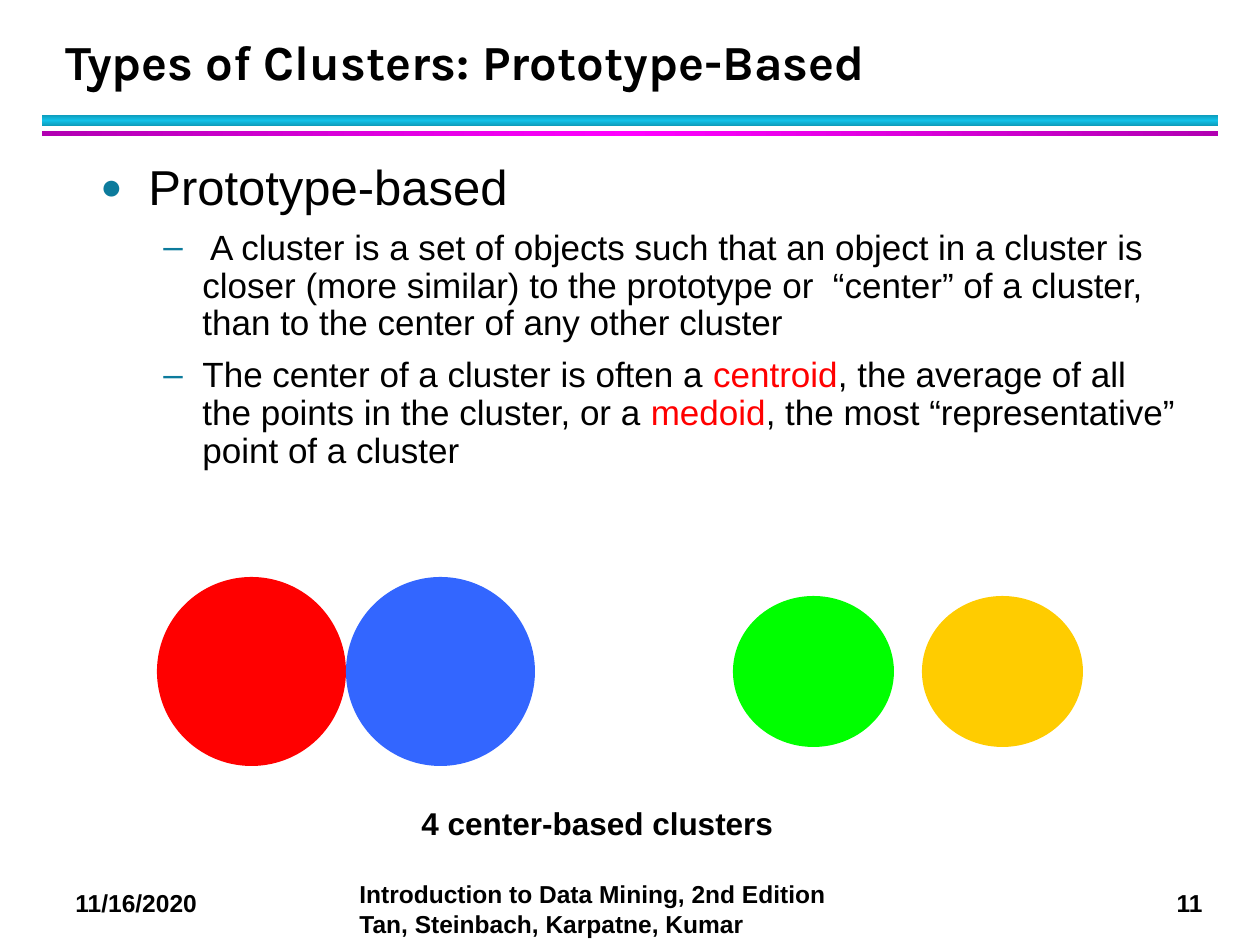
from copy import deepcopy

from lxml.etree import SubElement
from pptx import Presentation
from pptx.dml.color import RGBColor
from pptx.enum.shapes import MSO_SHAPE as Shape
from pptx.enum.text import MSO_ANCHOR as Anchor, PP_ALIGN as Align
from pptx.oxml.ns import qn
from pptx.util import Emu, Pt

PX = 914400 / 126
BLACK = RGBColor(0x00, 0x00, 0x00)
RED = RGBColor(0xFF, 0x00, 0x00)
BLUE = RGBColor(0x33, 0x66, 0xFF)
GREEN = RGBColor(0x00, 0xFF, 0x00)
GOLD = RGBColor(0xFF, 0xCC, 0x00)
BULLET = RGBColor(0x0C, 0x7B, 0x9C)
CYAN, CYAN_DARK = RGBColor(0x12, 0xC2, 0xE9), RGBColor(0x0E, 0x9B, 0xBA)
MAGENTA, MAGENTA_DARK = RGBColor(0xFF, 0x00, 0xFF), RGBColor(0xB2, 0x00, 0xB2)


def px(length):
    return Emu(round(length * PX))


def set_font(para, size, bold=False, name="Arial"):
    para.font.name = name
    para.font.size = Pt(size)
    para.font.bold = bold
    para.font.color.rgb = BLACK


def add_frame(page, box):
    frame = page.shapes.add_textbox(*map(px, box)).text_frame
    frame.word_wrap = True
    return frame


def add_label(page, box, text, size=14, align=Align.LEFT):
    para = add_frame(page, box).paragraphs[0]
    para.text = text
    para.alignment = align
    set_font(para, size, bold=True)


def add_plain_shape(page, kind, box):
    shape = page.shapes.add_shape(kind, *map(px, box))
    shape.shadow.inherit = False
    shape.line.fill.background()
    return shape


def add_gradient_bar(page, box, edge, middle, angle):
    """A bar that shades from edge to middle and back to edge."""
    bar = add_plain_shape(page, Shape.RECTANGLE, box)
    bar.fill.gradient()
    bar.fill.gradient_angle = angle
    stops = bar._element.spPr.find(qn("a:gradFill")).find(qn("a:gsLst"))
    stops.append(deepcopy(stops[-1]))
    for stop, position, color in zip(bar.fill.gradient_stops, (0, 0.5, 1), (edge, middle, edge)):
        stop.position = position
        stop.color.rgb = color


def add_header(page, box):
    left, top, width, height = box
    frame = add_frame(page, (left + 11, top, width - 34, 76))
    frame.vertical_anchor = Anchor.BOTTOM
    para = frame.paragraphs[0]
    para.text = "Types of Clusters: Prototype-Based"
    para.line_spacing = Pt(36)
    set_font(para, 28, bold=True, name="Karla")
    add_gradient_bar(page, (left, top + 94, width, 11), CYAN_DARK, CYAN, 90)
    add_gradient_bar(page, (left, top + 110, width, 5), MAGENTA_DARK, MAGENTA, 0)


def set_bullet(para, char, margin, hanging, percent):
    props = para._p.get_or_add_pPr()
    props.set("marL", str(px(margin)))
    props.set("indent", str(-px(hanging)))
    color = SubElement(props, qn("a:buClr"))
    SubElement(color, qn("a:srgbClr"), val=str(BULLET))
    SubElement(props, qn("a:buSzPct"), val=str(percent * 1000))
    SubElement(props, qn("a:buFont"), typeface="Arial")
    SubElement(props, qn("a:buChar"), char=char)


def add_body(page, box):
    frame = add_frame(page, box)
    # Each point holds its level and its spans; every second span is a red term.
    points = [
        (0, ["Prototype-based"]),
        (1, [" A cluster is a set of objects such that an object in a cluster is closer "
             "(more similar) to the prototype or  “center” of a cluster, "
             "than to the center of any other cluster"]),
        (1, ["The center of a cluster is often a ", "centroid",
             ", the average of all the points in the cluster, or a ", "medoid",
             ", the most “representative” point of a cluster"]),
    ]
    levels = [(28, ("●", 48, 48, 75)), (20, ("–", 102, 39, 100))]
    for index, (level, texts) in enumerate(points):
        para = frame.add_paragraph() if index else frame.paragraphs[0]
        size, bullet = levels[level]
        para.level = level
        para.line_spacing = 0.9
        para.space_before = Pt(size * 0.2 if index else 0)
        para.space_after = Pt(4)
        set_bullet(para, *bullet)
        set_font(para, size)
        for number, text in enumerate(texts):
            span = para.add_run()
            span.text = text
            if number % 2:
                span.font.color.rgb = RED


def add_clusters(page, box):
    """Two pairs of ellipses on one centre line, with a caption below."""
    left, top, _, height = box
    pitch = 189
    pairs = [(0, 189, 189, (RED, BLUE)), (576, 161, 151, (GREEN, GOLD))]
    for offset, wide, high, colors in pairs:
        for index, color in enumerate(colors):
            place = (left + offset + index * pitch, top + (pitch - high) / 2, wide, high)
            cluster = add_plain_shape(page, Shape.OVAL, place)
            cluster.fill.solid()
            cluster.fill.fore_color.rgb = color
    add_label(page, (left + 252, top + height - 50, 441, 50), "4 center-based clusters", 18)


def add_footer(page, box):
    left, top, width, height = box
    add_label(page, (left, top + 9, 168, 43), "11/16/2020")
    add_label(page, (left + 284, top, 514, height),
              "Introduction to Data Mining, 2nd Edition Tan, Steinbach, Karpatne, Kumar")
    add_label(page, (left + width - 55, top + 9, 55, 43), "11", align=Align.RIGHT)


def main():
    deck = Presentation()
    deck.slide_width, deck.slide_height = px(1260), px(945)
    page = deck.slides.add_slide(deck.slide_layouts[6])
    add_header(page, (42, 21, 1176, 115))
    add_body(page, (88, 157, 1103, 704))
    add_clusters(page, (157, 577, 926, 271))
    add_footer(page, (63, 873, 1152, 72))
    deck.save("out.pptx")


if __name__ == "__main__":
    main()
